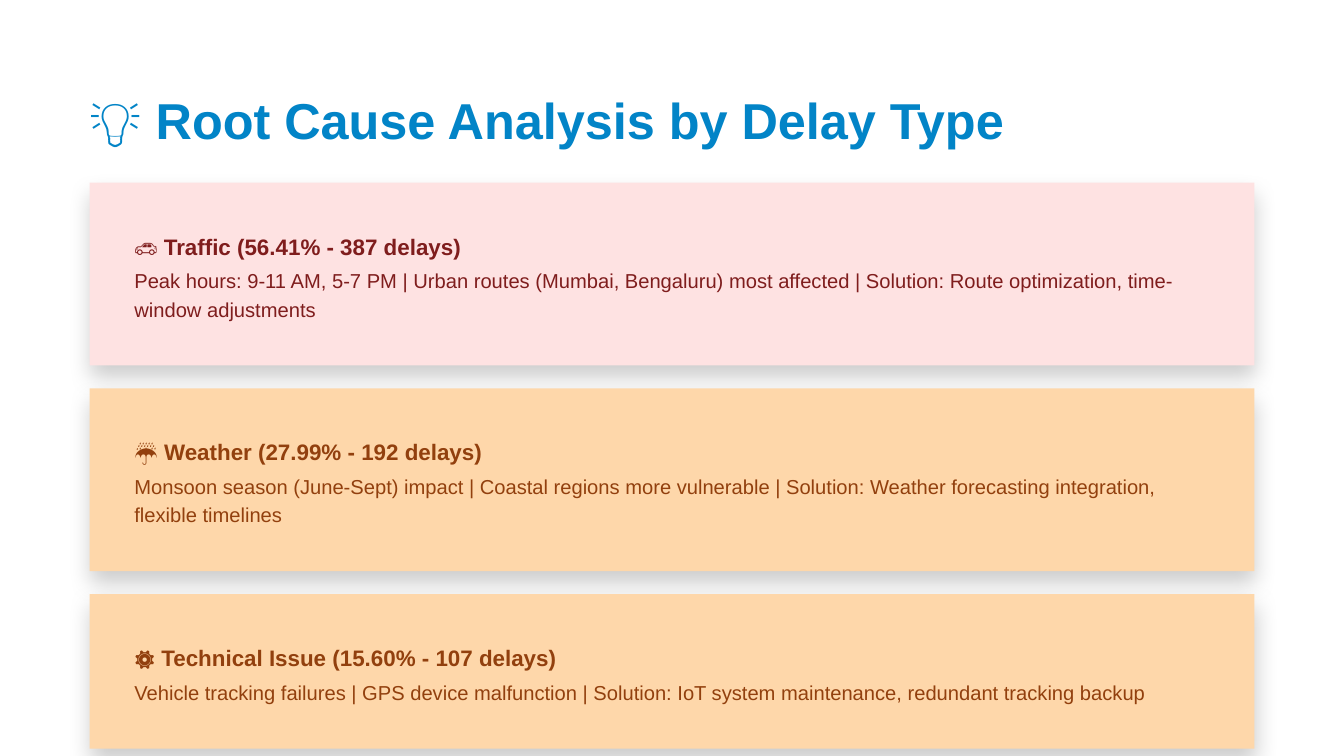
import pptx
import pptx.dml.color
import pptx.enum.shapes
import pptx.enum.text
import pptx.oxml
import pptx.oxml.ns
import pptx.util

Inches = pptx.util.Inches
Pt = pptx.util.Pt
RGBColor = pptx.dml.color.RGBColor

FONT = "Arial"
BLUE = RGBColor(0x02, 0x84, 0xC7)
PINK = RGBColor(0xFE, 0xE2, 0xE2)
MAROON = RGBColor(0x7F, 0x1D, 0x1D)
PEACH = RGBColor(0xFE, 0xD7, 0xAA)
BROWN = RGBColor(0x92, 0x40, 0x0E)

SLIDE_WIDTH = 10
SLIDE_HEIGHT = SLIDE_WIDTH * 9 / 16
MARGIN = 2 / 3
PADDING = 1 / 3
CARD_TOP = 1.36
CARD_WIDTH = SLIDE_WIDTH - 2 * MARGIN
CARD_PITCH = 1.53

CARDS = [
    ("🚗 Traffic (56.41% - 387 delays)",
     "Peak hours: 9-11 AM, 5-7 PM | Urban routes (Mumbai, Bengaluru) most affected"
     " | Solution: Route optimization, time-window adjustments",
     1.36, 8, PINK, MAROON),
    ("☔ Weather (27.99% - 192 delays)",
     "Monsoon season (June-Sept) impact | Coastal regions more vulnerable"
     " | Solution: Weather forecasting integration, flexible timelines",
     1.36, 8, PEACH, BROWN),
    ("⚙️ Technical Issue (15.60% - 107 delays)",
     "Vehicle tracking failures | GPS device malfunction"
     " | Solution: IoT system maintenance, redundant tracking backup",
     1.15, 8.16, PEACH, BROWN),
]


def add_text(slide, text, left, top, width, height, *, size, spacing, color, bold=False):
    """Add a one-paragraph text box without insets."""
    box = slide.shapes.add_textbox(Inches(left), Inches(top), Inches(width), Inches(height))
    frame = box.text_frame
    frame.word_wrap = True
    frame.vertical_anchor = pptx.enum.text.MSO_ANCHOR.TOP
    frame.margin_left = frame.margin_top = frame.margin_right = frame.margin_bottom = 0
    paragraph = frame.paragraphs[0]
    paragraph.line_spacing = Pt(spacing)
    run = paragraph.add_run()
    run.text = text
    run.font.name = FONT
    run.font.size = Pt(size)
    run.font.bold = bold
    run.font.color.rgb = color


def add_shadow(shape):
    """Give a shape a soft shadow straight below it."""
    shape.shadow.inherit = False
    effects = shape._element.spPr.find(pptx.oxml.ns.qn("a:effectLst"))
    effects.append(pptx.oxml.parse_xml(
        f'<a:outerShdw {pptx.oxml.ns.nsdecls("a")} blurRad="{Pt(12)}" dist="{Pt(6)}" '
        'dir="5400000" algn="ctr" rotWithShape="0">'
        '<a:srgbClr val="000000"><a:alpha val="20000"/></a:srgbClr></a:outerShdw>'))


def add_panel(slide, left, top, width, height, fill):
    """Draw the shadowed background of one card."""
    panel = slide.shapes.add_shape(
        pptx.enum.shapes.MSO_SHAPE.RECTANGLE,
        Inches(left), Inches(top), Inches(width), Inches(height))
    panel.fill.solid()
    panel.fill.fore_color.rgb = fill
    panel.line.fill.background()
    add_shadow(panel)


def add_cause_card(slide, left, top, width, height, card):
    """Place one delay cause with its heading and details."""
    heading, details, _, details_width, fill, color = card
    add_panel(slide, left, top, width, height, fill)
    add_text(slide, heading, left + PADDING, top + 0.34, 8.16, 0.23,
             size=12, spacing=16.8, color=color, bold=True)
    add_text(slide, details, left + PADDING, top + 0.61, details_width, height - 0.94,
             size=10.8, spacing=15.1, color=color)


def main():
    """Build and save the slide."""
    presentation = pptx.Presentation()
    presentation.slide_width = Inches(SLIDE_WIDTH)
    presentation.slide_height = Inches(SLIDE_HEIGHT)
    slide = presentation.slides.add_slide(presentation.slide_layouts[6])
    add_text(slide, "💡 Root Cause Analysis by Delay Type", MARGIN, MARGIN, 8.84, 0.45,
             size=27, spacing=32.4, color=BLUE, bold=True)
    for index, card in enumerate(CARDS):
        add_cause_card(slide, MARGIN, CARD_TOP + index * CARD_PITCH, CARD_WIDTH, card[2], card)
    presentation.save("out.pptx")


if __name__ == "__main__":
    main()
